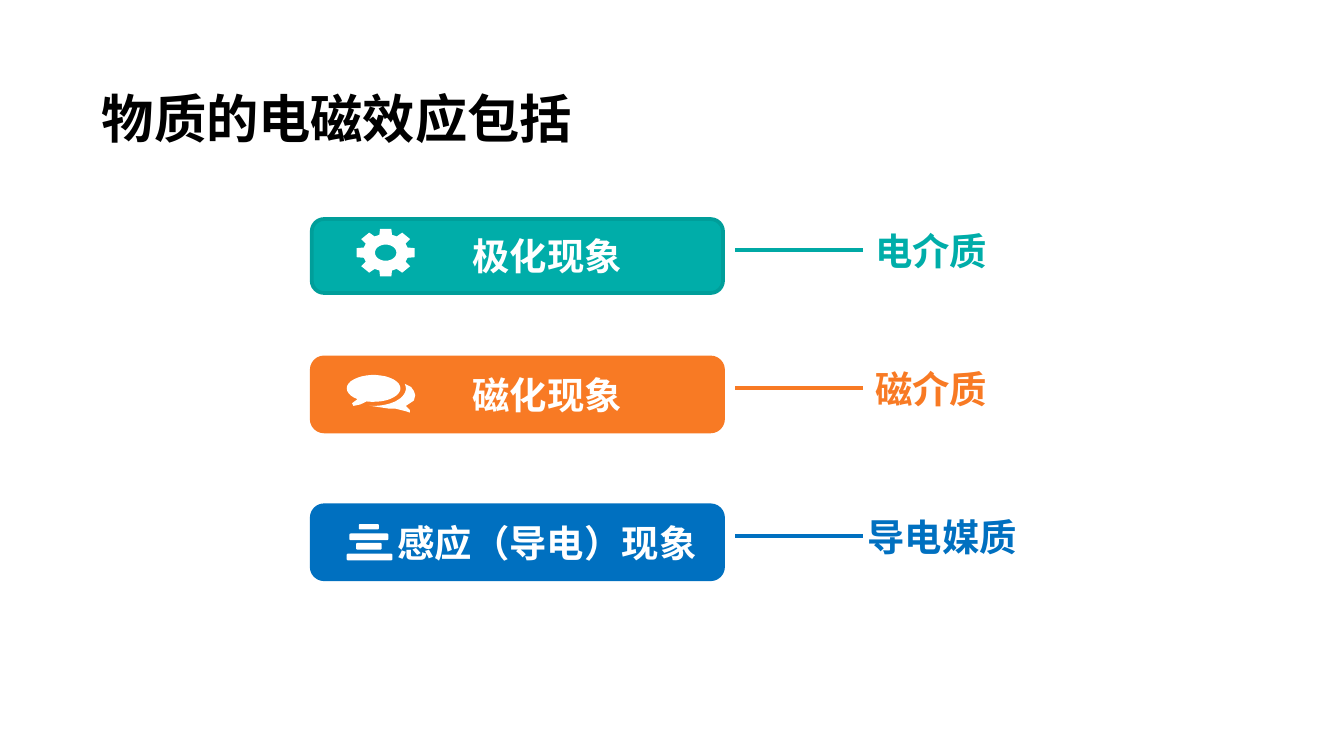
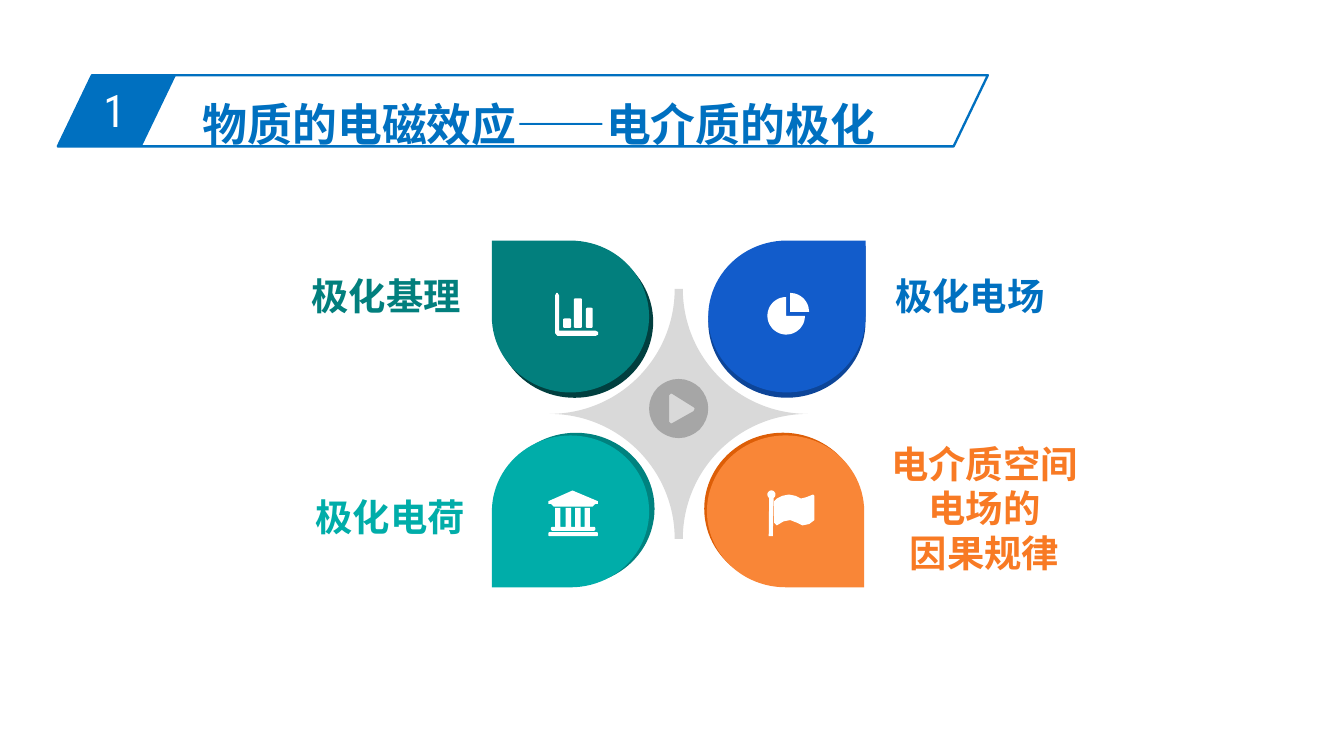
"""Build two slides on the electromagnetic effects of matter."""
from dataclasses import dataclass
from math import cos, radians, sin

from lxml.etree import SubElement
from pptx import Presentation
from pptx.dml.color import RGBColor
from pptx.enum.shapes import MSO_CONNECTOR, MSO_SHAPE as SHAPE
from pptx.enum.text import MSO_ANCHOR as ANCHOR, PP_ALIGN as ALIGN
from pptx.oxml.ns import qn
from pptx.util import Inches, Pt


@dataclass(frozen=True)
class Theme:
    blue: str = "0070C0"
    teal: str = "00ADA9"
    teal_edge: str = "009E9A"
    teal_line: str = "00A9A5"
    teal_shade: str = "00827F"
    orange: str = "F87A24"
    petal_orange: str = "F98637"
    orange_shade: str = "DD5E07"
    green: str = "027F7D"
    green_shade: str = "013F3F"
    royal: str = "125CCB"
    royal_shade: str = "0D4598"
    star: str = "D9D9D9"
    play: str = "A6A6A6"
    black: str = "000000"
    white: str = "FFFFFF"
    title: int = 28
    heading: int = 24
    label: int = 20
    body_font: str = "Calibri"
    title_font: str = "Noto Sans CJK JP"
    cjk_font: str = "Noto Sans CJK SC"
    number_font: str = "Roboto Condensed"


T = Theme()

TITLE = "物质的电磁效应包括"
EFFECTS = [
    ("极化现象", "电介质", 1.63, 6.18, T.teal, T.teal_edge, T.teal_line, "gear"),
    ("磁化现象", "磁介质", 2.66, 6.18, T.orange, T.orange, T.orange, "chat"),
    ("感应（导电）现象", "导电媒质", 3.76, 6.26, T.blue, T.blue, T.blue, "lines"),
]

NUMBER = "1"
HEADING = "物质的电磁效应——电介质的极化"
TOPICS = [
    (["极化电荷"], (2.33, 3.68, 1.13, 0.34), ALIGN.RIGHT, T.teal),
    (["极化电场"], (6.66, 2.03, 1.13, 0.34), ALIGN.LEFT, T.blue),
    (["极化基理"], (2.3, 2.03, 1.13, 0.34), ALIGN.RIGHT, T.green),
    (["电介质空间电场的", "因果规律"], (6.5, 3.28, 1.65, 1.01), ALIGN.CENTER, T.orange),
]
PETAL_LONG, PETAL_SHORT = 1.17, 1.13
PETALS = [
    (270, (3.71, 1.81), T.green_shade, (3.68, 1.77), T.green),
    (0, (5.27, 1.83), T.royal_shade, (5.27, 1.79), T.royal),
    (180, (3.7, 3.22), T.teal_shade, (3.66, 3.24), T.teal),
    (90, (5.26, 3.2), T.orange_shade, (5.28, 3.22), T.petal_orange),
]


def arc(cx, cy, rx, ry, start=0, end=360, steps=32):
    angles = [radians(start + (end - start) * i / steps) for i in range(steps + 1)]
    return [(cx + rx * cos(a), cy + ry * sin(a)) for a in angles]


def box(left, top, right, bottom, radius=0.01):
    corners = [(right - radius, bottom - radius, 0), (left + radius, bottom - radius, 90),
               (left + radius, top + radius, 180), (right - radius, top + radius, 270)]
    return [pt for x, y, a in corners for pt in arc(x, y, radius, radius, a, a + 90, 4)]


def gear(cx, cy, rx, ry):
    profile = [(-16, 0.77), (-11, 1), (11, 1), (16, 0.77)]
    return [(cx + rx * k * cos(radians(tooth + a)), cy + ry * k * sin(radians(tooth + a)))
            for tooth in range(0, 360, 45) for a, k in profile]


ICONS = {
    "gear": [gear(2.87, 1.88, 0.22, 0.18), arc(2.87, 1.88, 0.08, 0.06)],
    "chat": [
        arc(2.78, 2.89, 0.2, 0.1, 127, 465) + [(2.68, 3.01), (2.63, 3.02), (2.62, 3.0)],
        arc(2.78, 2.89, 0.24, 0.13, 97, -15)
        + [(3.06, 2.88), (3.08, 2.91), (3.09, 2.94), (3.08, 2.98), (3.02, 3.02),
           (3.05, 3.05), (3.05, 3.07), (3.02, 3.06), (2.94, 3.04), (2.89, 3.04)],
    ],
    "lines": [box(2.67, 3.9, 2.82, 3.94), box(2.6, 3.97, 2.89, 4.02),
              box(2.65, 4.04, 2.84, 4.09), box(2.58, 4.12, 2.92, 4.17)],
    "play": [arc(5.05, 3.04, 0.22, 0.22),
             [(4.98, 2.94), (4.99, 2.93), (5.0, 2.93), (5.16, 3.03), (5.17, 3.04),
              (5.16, 3.06), (5.0, 3.15), (4.99, 3.15), (4.98, 3.14)]],
    "bank": [[(4.08, 3.73), (4.26, 3.65), (4.45, 3.73), (4.45, 3.75), (4.43, 3.75),
              (4.41, 3.77), (4.12, 3.77), (4.1, 3.75), (4.08, 3.75)]]
            + [box(x, 3.78, x + 0.04, 3.92, 0) for x in (4.13, 4.21, 4.28, 4.35)]
            + [box(4.1, 3.92, 4.43, 3.95), box(4.08, 3.96, 4.45, 3.99)],
    "flag": [arc(5.74, 3.68, 0.03, 0.03, 125, 415) + [(5.75, 3.99), (5.72, 3.99)],
             [(5.76, 3.73), (5.78, 3.71), (5.82, 3.69), (5.87, 3.68), (5.92, 3.69),
              (5.96, 3.71), (6.0, 3.7), (6.05, 3.68), (6.06, 3.69), (6.06, 3.87),
              (6.02, 3.9), (5.97, 3.91), (5.93, 3.89), (5.88, 3.87), (5.83, 3.88),
              (5.78, 3.91), (5.76, 3.89)]],
    "bars": [[(4.13, 2.2), (4.14, 2.18), (4.15, 2.18), (4.16, 2.2), (4.16, 2.46),
              (4.43, 2.46), (4.45, 2.47), (4.45, 2.49), (4.43, 2.5), (4.15, 2.5),
              (4.13, 2.48)],
             box(4.19, 2.37, 4.25, 2.44), box(4.27, 2.22, 4.33, 2.44),
             box(4.36, 2.29, 4.41, 2.44)],
    "pie": [[(5.88, 2.32)] + arc(5.88, 2.32, 0.14, 0.14, -90, 0),
            [(5.85, 2.35)] + arc(5.85, 2.35, 0.14, 0.14, 0, 270)],
}


def rgb(value):
    return RGBColor.from_string(value)


def paint(sp, fill=None, line=None, width=1):
    sp.shadow.inherit = False
    if fill:
        sp.fill.solid()
        sp.fill.fore_color.rgb = rgb(fill)
    else:
        sp.fill.background()
    if line:
        sp.line.color.rgb = rgb(line)
        sp.line.width = Pt(width)
    else:
        sp.line.fill.background()
    return sp


def add_shape(s, kind, at, fill=None, line=None, width=1):
    return paint(s.shapes.add_shape(kind, *map(Inches, at)), fill, line, width)


def add_icon(s, name, color=T.white):
    contours = [[(x * 1000, y * 1000) for x, y in pts] for pts in ICONS[name]]
    fb = s.shapes.build_freeform(*contours[0][0], scale=Inches(1) / 1000)
    for i, pts in enumerate(contours):
        if i:
            fb.move_to(*pts[0])
        fb.add_line_segments(pts[1:], close=True)
    return paint(fb.convert_to_shape(), color)


def write(sp, lines, size, color, font=T.body_font, bold=True, align=ALIGN.LEFT,
          anchor=ANCHOR.TOP, insets=(0.1, 0.05, 0.1, 0.05), wrap=True):
    tf = sp.text_frame
    tf.text = "\n".join(lines)
    tf.word_wrap = wrap
    tf.vertical_anchor = anchor
    tf.margin_left, tf.margin_top, tf.margin_right, tf.margin_bottom = map(Inches, insets)
    for p in tf.paragraphs:
        p.alignment = align
        for r in p.runs:
            r.font.size = Pt(size)
            r.font.bold = bold
            r.font.color.rgb = rgb(color)
            r.font.name = font
            east_asian = T.title_font if font == T.title_font else T.cjk_font
            SubElement(r._r.get_or_add_rPr(), qn("a:ea")).set("typeface", east_asian)
    return tf


def add_text(s, at, lines, size, color, **style):
    return write(s.shapes.add_textbox(*map(Inches, at)), lines, size, color, **style)


def add_line(s, x1, x2, y, color, width):
    ln = s.shapes.add_connector(MSO_CONNECTOR.STRAIGHT, *map(Inches, (x1, y, x2, y)))
    ln.line.color.rgb = rgb(color)
    ln.line.width = Pt(width)
    SubElement(ln._element.spPr, qn("a:effectLst"))


def build_effects(s):
    centred = {"align": ALIGN.CENTER, "anchor": ANCHOR.MIDDLE}
    for effect, medium, top, label_left, color, edge, link, icon in EFFECTS:
        bar = add_shape(s, SHAPE.ROUNDED_RECTANGLE, (2.32, top, 3.06, 0.55), color, edge, 2)
        write(bar, [effect], T.label, T.white, insets=(0.54, 0.05, 0.1, 0.05), **centred)
        add_icon(s, icon)
        label = add_shape(s, SHAPE.ROUNDED_RECTANGLE, (label_left, top - 0.08, 1.5, 0.63))
        write(label, [medium], T.label, color, **centred)
        add_line(s, 5.47, 6.42, top + 0.23, link, 2.25)
    add_text(s, (0.66, 0.59, 3.87, 0.57), [TITLE], T.title, T.black,
             font=T.title_font, anchor=ANCHOR.MIDDLE)


def add_banner(s):
    tab = add_shape(s, SHAPE.PARALLELOGRAM, (0.43, 0.56, 0.88, 0.53), T.blue)
    add_text(s, (0.59, 0.57, 0.84, 0.54), [NUMBER], T.heading, T.white,
             font=T.number_font, bold=False, insets=(0.18, 0.05, 0.1, 0.05))
    tf = add_text(s, (1.44, 0.48, 5.38, 0.68), [HEADING], T.heading, T.blue,
                  font=T.cjk_font, insets=(0.07, 0.04, 0.07, 0.04))
    p = tf.paragraphs[0]
    p.line_spacing, p.space_before, p.space_after = 1.5, Pt(12), Pt(6)
    frame = add_shape(s, SHAPE.PARALLELOGRAM, (0.43, 0.56, 6.92, 0.53), line=T.blue, width=1.25)
    for sp in (tab, frame):
        sp.adjustments[0] = 0.48


def build_polarization(s):
    add_banner(s)
    for lines, at, align, color in TOPICS:
        add_text(s, at, lines, T.label, color, align=align, insets=(0, 0, 0, 0),
                 wrap=len(lines) > 1)
    star = add_shape(s, SHAPE.PLAQUE, (4.09, 2.15, 1.92, 1.86), T.star)
    star.adjustments[0] = 0.5
    for turn, shade_at, shade, face_at, face in PETALS:
        size = (PETAL_SHORT, PETAL_LONG) if turn % 180 else (PETAL_LONG, PETAL_SHORT)
        for corner, color in ((shade_at, shade), (face_at, face)):
            add_shape(s, SHAPE.TEAR, corner + size, color).rotation = turn
    add_icon(s, "play", T.play)
    for name in ("bank", "flag", "bars", "pie"):
        add_icon(s, name)


def main():
    prs = Presentation()
    prs.slide_width = Inches(10)
    prs.slide_height = prs.slide_width * 9 // 16
    for build in (build_effects, build_polarization):
        build(prs.slides.add_slide(prs.slide_layouts[6]))
    prs.save("out.pptx")


if __name__ == "__main__":
    main()
